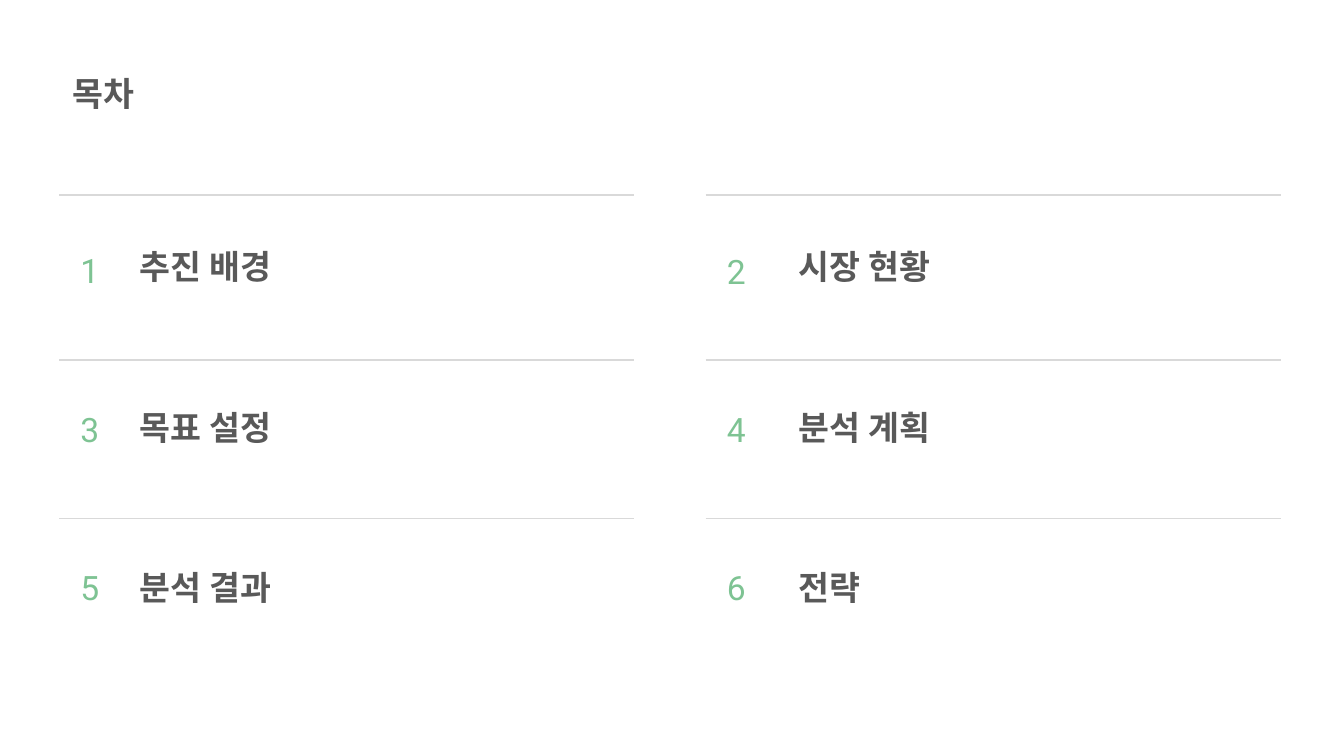
from pptx import Presentation
from pptx.dml.color import RGBColor
from pptx.enum.shapes import MSO_CONNECTOR
from pptx.enum.text import MSO_ANCHOR, MSO_AUTO_SIZE, PP_ALIGN
from pptx.oxml.ns import qn
from pptx.util import Inches, Pt
from lxml import etree

GREEN = RGBColor(0x7E, 0xC3, 0x93)
DARK_GRAY = RGBColor(0x59, 0x59, 0x59)
LIGHT_GRAY = RGBColor(0xD9, 0xD9, 0xD9)
FONT = "Roboto"


def write_text(shape, text, color=DARK_GRAY, size=18, bold=False):
    frame = shape.text_frame
    frame.word_wrap = True
    frame.auto_size = MSO_AUTO_SIZE.NONE
    frame.vertical_anchor = MSO_ANCHOR.TOP
    frame.margin_left = frame.margin_right = Inches(0.1)
    frame.margin_top = frame.margin_bottom = Inches(0.1)
    paragraph = frame.paragraphs[0]
    paragraph.alignment = PP_ALIGN.LEFT
    run = paragraph.add_run()
    run.text = text
    run.font.name = FONT
    run.font.size = Pt(size)
    run.font.bold = bold
    run.font.color.rgb = color
    # Hangul uses the East Asian font slot
    east_asian = etree.SubElement(run.font._element, qn("a:ea"))
    east_asian.set("typeface", FONT)


# Widescreen 16:9 slide
presentation = Presentation()
presentation.slide_width = Inches(10)
presentation.slide_height = Inches(10) * 9 // 16
slide = presentation.slides.add_slide(presentation.slide_layouts[5])

# Title
title = slide.shapes.title
title.left, title.top = Inches(0.44), Inches(0.44)
title.width, title.height = Inches(2.69), Inches(0.53)
write_text(title, "목차", bold=True)

# Contents: two columns, each entry under its own rule
sections = ["추진 배경", "시장 현황", "목표 설정", "분석 계획", "분석 결과", "전략"]
columns = [(0.44, 0.5, 0.94), (5.25, 5.31, 5.84)]  # rule, number, heading
rows = [(1.45, 1.73), (2.68, 2.93), (3.86, 4.12)]  # rule, heading
number_tops = [1.76, 1.77, 2.94, 2.94, 4.12, 4.12]
RULE_LENGTH = 4.28

for index, (section, number_top) in enumerate(zip(sections, number_tops)):
    rule_left, number_left, heading_left = columns[index % 2]
    rule_top, heading_top = rows[index // 2]

    rule = slide.shapes.add_connector(
        MSO_CONNECTOR.STRAIGHT, Inches(rule_left), Inches(rule_top),
        Inches(rule_left + RULE_LENGTH), Inches(rule_top))
    rule.line.color.rgb = LIGHT_GRAY
    rule.line.width = Pt(0.75)
    etree.SubElement(rule._element.spPr, qn("a:effectLst"))

    number = slide.shapes.add_textbox(
        Inches(number_left), Inches(number_top), Inches(0.72), Inches(0.67))
    write_text(number, str(index + 1), color=GREEN)

    heading = slide.shapes.add_textbox(
        Inches(heading_left), Inches(heading_top), Inches(2.69), Inches(0.53))
    write_text(heading, section, bold=True)

presentation.save("out.pptx")
